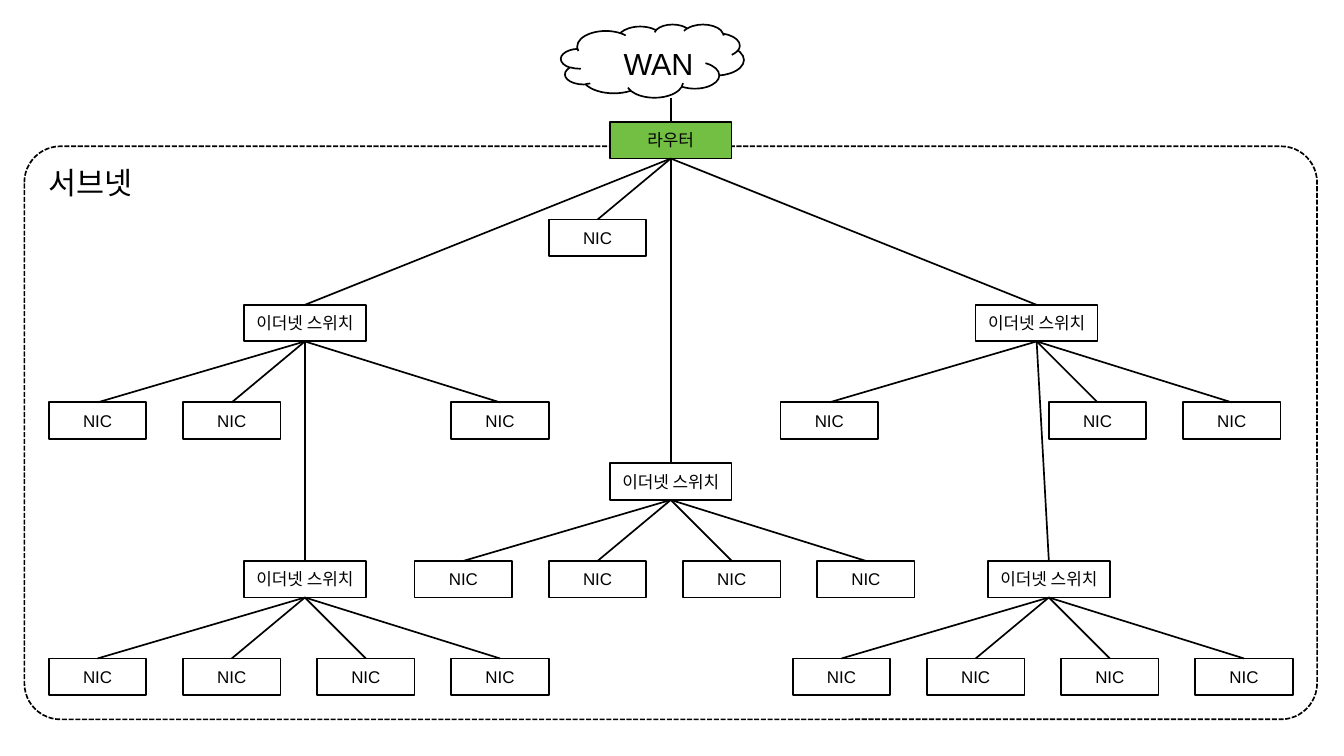
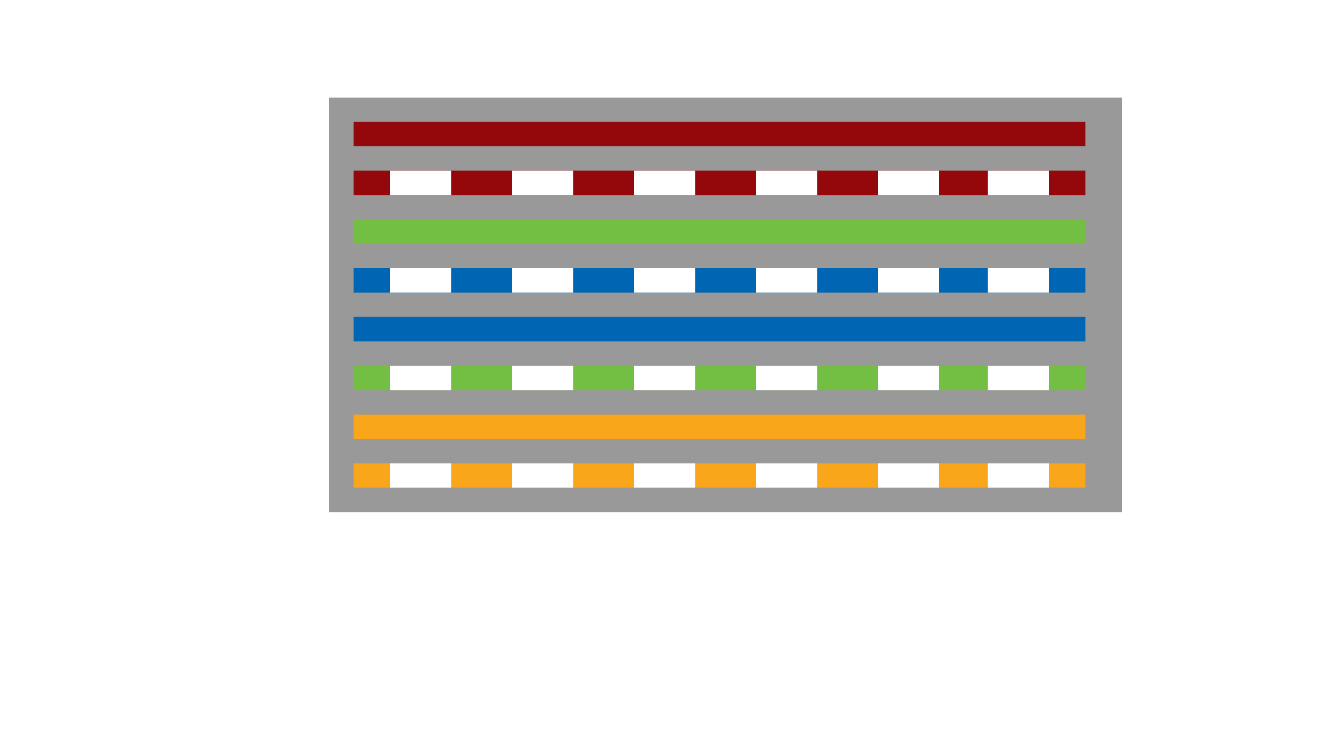
from lxml.etree import SubElement
from pptx import Presentation
from pptx.dml.color import RGBColor
from pptx.enum.dml import MSO_LINE
from pptx.enum.shapes import MSO_CONNECTOR, MSO_SHAPE
from pptx.enum.text import MSO_ANCHOR, PP_ALIGN
from pptx.oxml.ns import qn
from pptx.util import Inches, Pt

BLACK = RGBColor(0x00, 0x00, 0x00)
WHITE = RGBColor(0xFF, 0xFF, 0xFF)
GREEN = RGBColor(0x72, 0xBF, 0x44)
RED = RGBColor(0x94, 0x07, 0x0A)
BLUE = RGBColor(0x00, 0x66, 0xB3)
ORANGE = RGBColor(0xFA, 0xA6, 0x1A)
GRAY = RGBColor(0x99, 0x99, 0x99)
FONT = "Arial"

# Network tree: node name -> (label, left, top, parent)
SWITCH = "이더넷 스위치"
HUBS = {
    "router": ("라우터", 5, 1, None),
    "left": (SWITCH, 2, 2.5, "router"),
    "middle": (SWITCH, 5, 3.8, "router"),
    "right": (SWITCH, 8, 2.5, "router"),
    "lower left": (SWITCH, 2, 4.6, "left"),
    "lower right": (SWITCH, 8.1, 4.6, "right"),
}
# Cards under each hub: (hub, top, left of slot 0, occupied slots)
NIC_ROWS = [
    ("router", 1.8, 4.5, [0]),
    ("left", 3.3, 0.4, [0, 1, 3]),
    ("right", 3.3, 6.4, [0, 2, 3]),
    ("middle", 4.6, 3.4, [0, 1, 2, 3]),
    ("lower left", 5.4, 0.4, [0, 1, 2, 3]),
    ("lower right", 5.4, 6.5, [0, 1, 2, 3]),
]
HUB_W, NIC_W, NODE_H, NIC_STEP = 1, 0.8, 0.3, 1.1

# Cable wires from top to bottom: (colour, striped)
WIRES = [
    (RED, False), (RED, True), (GREEN, False), (BLUE, True),
    (BLUE, False), (GREEN, True), (ORANGE, False), (ORANGE, True),
]
WIRE_LEFT, WIRE_TOP, WIRE_W, WIRE_H, WIRE_STEP = 2.9, 1, 6, 0.2, 0.4
STRIPE_LEFTS = [3.2, 4.2, 5.2, 6.2, 7.2, 8.1]
STRIPE_W = 0.5


def add_shape(shapes, kind, box, fill=None, line=None):
    sp = shapes.add_shape(kind, *map(Inches, box))
    sp.shadow.inherit = False
    if fill is None:
        sp.fill.background()
    else:
        sp.fill.solid()
        sp.fill.fore_color.rgb = fill
    if line is None:
        sp.line.fill.background()
    else:
        sp.line.color.rgb = line
        sp.line.width = Pt(1)
    return sp


def write(sp, text, size, align, **frame):
    tf = sp.text_frame
    for name, value in frame.items():
        setattr(tf, name, value)
    p = tf.paragraphs[0]
    p.alignment = align
    r = p.add_run()
    r.text = text
    for name, value in {"name": FONT, "size": Pt(size)}.items():
        setattr(r.font, name, value)
    r.font.color.rgb = BLACK


def add_node(shapes, label, left, top, width, fill=WHITE):
    sp = add_shape(shapes, MSO_SHAPE.RECTANGLE, (left, top, width, NODE_H), fill, BLACK)
    write(sp, label, 10, PP_ALIGN.CENTER, word_wrap=False,
          vertical_anchor=MSO_ANCHOR.MIDDLE,
          margin_left=Inches(0.11), margin_right=Inches(0.11),
          margin_top=Inches(0.06), margin_bottom=Inches(0.06))
    return sp


def add_line(shapes, x1, y1, x2, y2):
    line = shapes.add_connector(MSO_CONNECTOR.STRAIGHT, x1, y1, x2, y2)
    line.line.color.rgb = BLACK
    line.line.width = Pt(1)
    SubElement(line._element.spPr, qn("a:effectLst"))
    return line


def link(shapes, child, parent):
    line = add_line(shapes, child.left + child.width // 2, child.top,
                    parent.left + parent.width // 2, parent.top + parent.height)
    line.begin_connect(child, 0)
    line.end_connect(parent, 2)


def add_label(shapes, text, box, align, wrap):
    sp = shapes.add_textbox(*map(Inches, box))
    write(sp, text, 18, align, word_wrap=wrap)


def build_network(s):
    shapes = s.shapes
    # Subnet frame
    frame = add_shape(shapes, MSO_SHAPE.ROUNDED_RECTANGLE, (0.2, 1.2, 10.6, 4.7), line=BLACK)
    frame.adjustments[0] = 0.063
    frame.line.dash_style = MSO_LINE.SQUARE_DOT
    add_label(shapes, "서브넷", (0.3, 1.3, 0.89, 0.46), PP_ALIGN.LEFT, False)

    # Router and switches
    hubs = {}
    for name, (label, left, top, parent) in HUBS.items():
        fill = WHITE if parent else GREEN
        hubs[name] = add_node(shapes, label, left, top, HUB_W, fill)
        if parent:
            link(shapes, hubs[name], hubs[parent])

    # Network cards
    for hub, top, left, slots in NIC_ROWS:
        for slot in slots:
            nic = add_node(shapes, "NIC", left + slot * NIC_STEP, top, NIC_W)
            link(shapes, nic, hubs[hub])

    # WAN cloud and uplink
    add_shape(shapes, MSO_SHAPE.CLOUD, (4.6, 0.2, 1.5, 0.6), WHITE, BLACK)
    add_label(shapes, "WAN", (4.9, 0.32, 1, 0.38), PP_ALIGN.CENTER, True)
    uplink = add_line(shapes, *map(Inches, (5.5, 1, 5.5, 0.8)))
    uplink.begin_connect(hubs["router"], 0)


def build_cable(s):
    # Sheath
    add_shape(s.shapes, MSO_SHAPE.RECTANGLE, (2.7, 0.8, 6.5, 3.4), GRAY)

    # Wires, the striped ones grouped with their stripes
    for i, (color, striped) in enumerate(WIRES):
        top = WIRE_TOP + i * WIRE_STEP
        shapes = s.shapes.add_group_shape().shapes if striped else s.shapes
        add_shape(shapes, MSO_SHAPE.RECTANGLE, (WIRE_LEFT, top, WIRE_W, WIRE_H), color)
        for left in STRIPE_LEFTS if striped else []:
            add_shape(shapes, MSO_SHAPE.RECTANGLE, (left, top, STRIPE_W, WIRE_H), WHITE)


def main():
    prs = Presentation()
    prs.slide_width, prs.slide_height = Inches(11.02), Inches(6.2)
    for build in (build_network, build_cable):
        build(prs.slides.add_slide(prs.slide_layouts[6]))
    prs.save("out.pptx")


if __name__ == "__main__":
    main()
